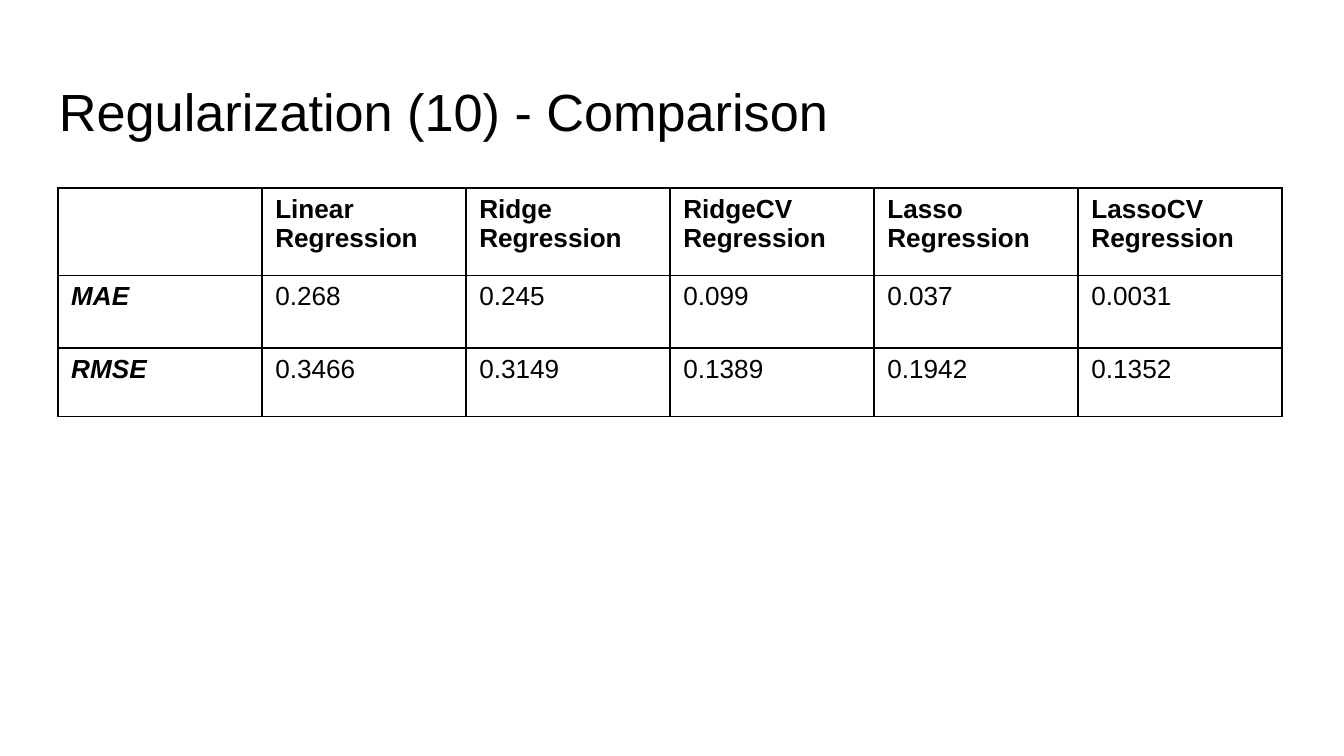
import pptx
import pptx.dml.color
import pptx.enum.text
import pptx.oxml
import pptx.oxml.ns
import pptx.util

Inches = pptx.util.Inches
BODY = {"name": "Arial", "size": pptx.util.Pt(14)}
HEAD = [
    "", "Linear Regression", "Ridge Regression", "RidgeCV Regression",
    "Lasso Regression", "LassoCV\nRegression",
]
ROWS = [
    HEAD,
    ["MAE", "0.268", "0.245", "0.099", "0.037", "0.0031"],
    ["RMSE", "0.3466", "0.3149", "0.1389", "0.1942", "0.1352"],
]
HIGHS = [0.65, 0.54, 0.51]


def paint(code):
    return pptx.dml.color.RGBColor.from_string(code)


def assign(item, form):
    for key, value in form.items():
        setattr(item, key, value)


def write(frame, text, form):
    frame.text = text
    for para in frame.paragraphs:
        assign(para.font, form)
        para.font.color.rgb = paint("000000")


def border(cell, code):
    props = cell._tc.get_or_add_tcPr()
    space = pptx.oxml.ns.nsdecls("a")
    for index, side in enumerate(("lnL", "lnR", "lnT", "lnB")):
        line = pptx.oxml.parse_xml(
            f'<a:{side} {space} w="{pptx.util.Pt(1)}"><a:solidFill>'
            f'<a:srgbClr val="{code}"/></a:solidFill></a:{side}>'
        )
        props.insert(index, line)


def title(slide, left, top, width, height):
    box = slide.shapes.add_textbox(*map(Inches, (left, top, width, height)))
    frame = box.text_frame
    assign(frame, {
        "word_wrap": True,
        "vertical_anchor": pptx.enum.text.MSO_ANCHOR.TOP,
        "margin_left": Inches(0.1),
        "margin_right": Inches(0.1),
        "margin_top": Inches(0.1),
        "margin_bottom": Inches(0.1),
    })
    write(frame, "Regularization (10) - Comparison",
          {"name": "Arial", "size": pptx.util.Pt(28)})


def scores(slide, left, top, width):
    place = map(Inches, (left, top, width, sum(HIGHS)))
    table = slide.shapes.add_table(len(ROWS), len(HEAD), *place).table
    assign(table, {"first_row": False, "horz_banding": False})
    for column in table.columns:
        column.width = Inches(width / len(HEAD))
    for row, (texts, high) in enumerate(zip(ROWS, HIGHS)):
        table.rows[row].height = Inches(high)
        for col, text in enumerate(texts):
            cell = table.cell(row, col)
            cell.fill.background()
            border(cell, "000000")
            label = row == 0 or col == 0
            form = {"bold": label, "italic": row > 0 and col == 0}
            write(cell.text_frame, text, BODY | form)


def main():
    deck = pptx.Presentation()
    wide = Inches(10)
    assign(deck, {"slide_width": wide, "slide_height": wide * 9 // 16})
    slide = deck.slides.add_slide(deck.slide_layouts[6])
    title(slide, 0.34, 0.49, 9.32, 0.63)
    scores(slide, 0.43, 1.4, 9.11)
    deck.save("out.pptx")


if __name__ == "__main__":
    main()
